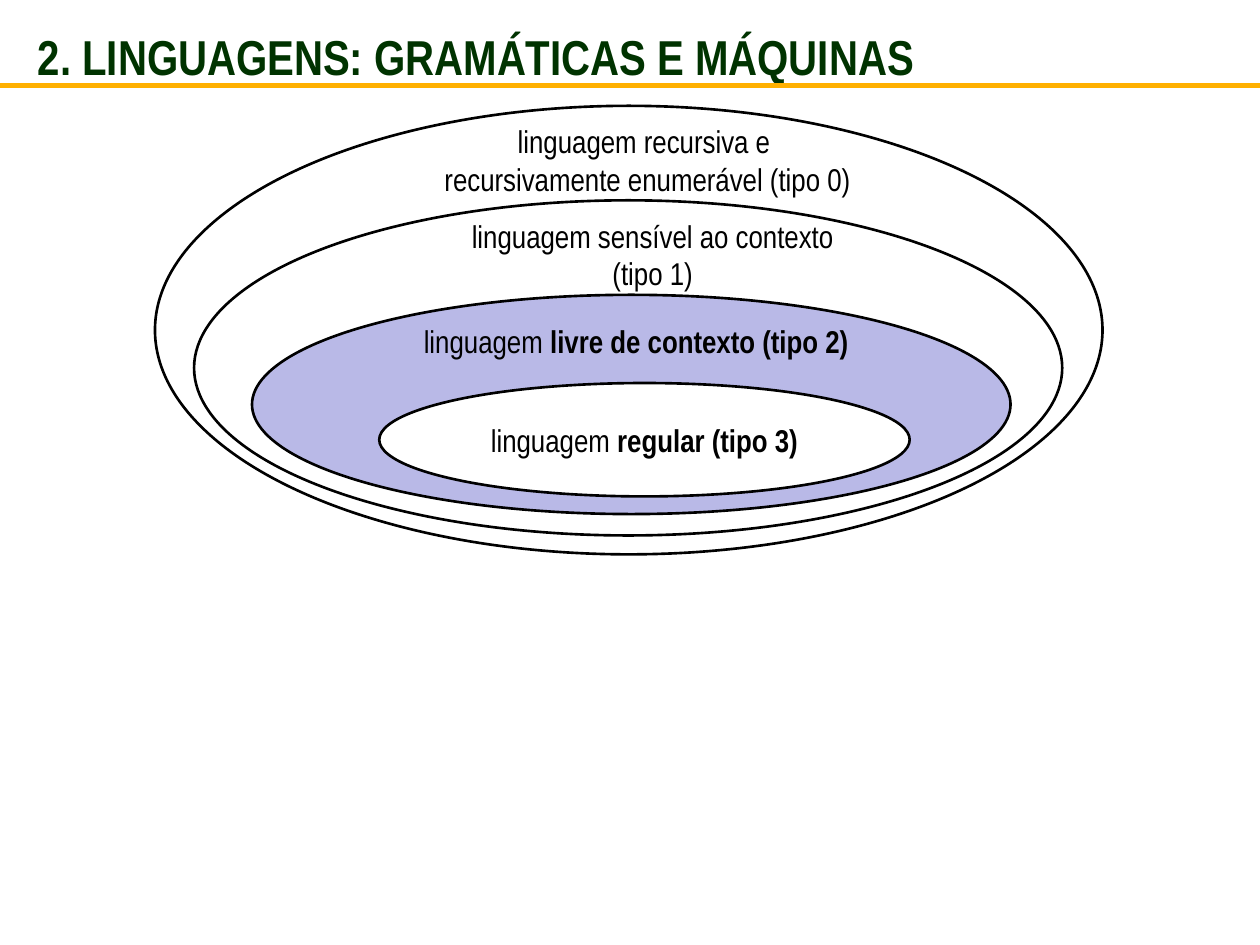
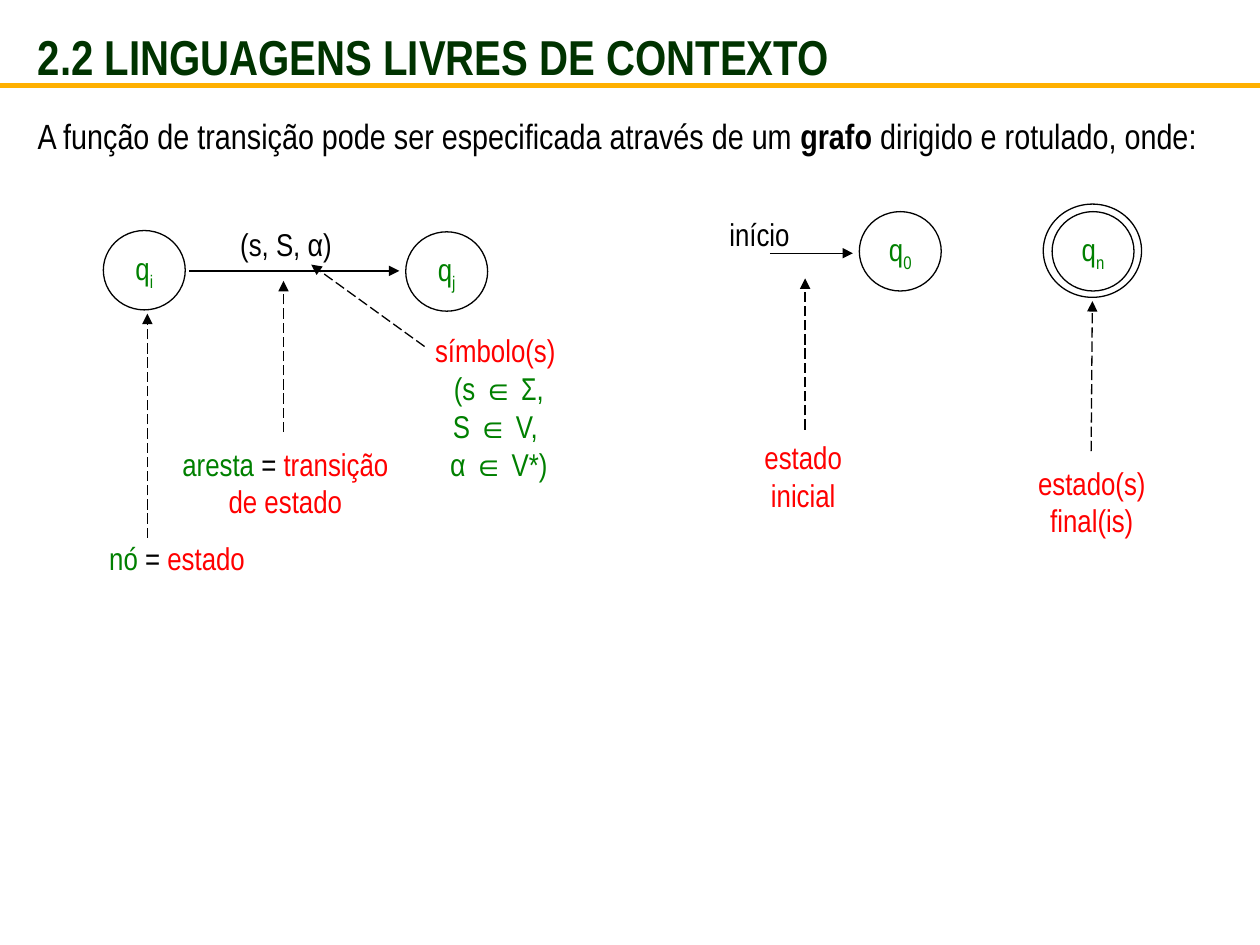
from lxml import etree
from pptx import Presentation
from pptx import util as u
from pptx.dml.color import RGBColor
from pptx.enum import dml, shapes, text
from pptx.oxml.ns import qn

COLORS = {
    "ink": "000000", "paper": "FFFFFF", "title": "003300", "rule": "FFB000",
    "lilac": "7575D1", "green": "008000", "red": "FF0000",
}
RGB = {name: RGBColor.from_string(value) for name, value in COLORS.items()}
FONT = "Arial Narrow"

prs = Presentation()
prs.slide_width, prs.slide_height = u.Inches(10), u.Inches(7.5)
CELL = prs.slide_width / 100  # the slide is 100 columns by 75 rows
MIDDLE = text.MSO_ANCHOR.MIDDLE
CENTER = text.PP_ALIGN.CENTER


def write(shape, lines, size=18, align=CENTER, anchor=text.MSO_ANCHOR.TOP):
    """Fill a shape with lines of (words, colour, style) runs; style is '', 'bold' or 'sub'."""
    frame = shape.text_frame
    frame.word_wrap = True
    frame.vertical_anchor = anchor
    for number, runs in enumerate(lines):
        paragraph = frame.add_paragraph() if number else frame.paragraphs[0]
        paragraph.alignment = align
        paragraph.font.name, paragraph.font.size = FONT, u.Pt(size)
        for words, color, style in runs:
            run = paragraph.add_run()
            run.text = words
            run.font.name, run.font.size = FONT, u.Pt(size)
            run.font.color.rgb = RGB[color]
            run.font.bold = style == "bold"
            if style == "sub":
                run.font._element.set("baseline", "-25000")


def draw(slide, place, color="ink", weight=0.75, fill=None, arrow=False, dashed=False):
    """Draw an ellipse (fill given; place is left, top, width, height) or a line (from, to)."""
    lengths = [round(cells * CELL) for cells in place]
    if fill:
        shape = slide.shapes.add_shape(shapes.MSO_SHAPE.OVAL, *lengths)
        shape.shadow.inherit = False
        shape.fill.solid()
        shape.fill.fore_color.rgb = RGB[fill]
    else:
        shape = slide.shapes.add_connector(shapes.MSO_CONNECTOR.STRAIGHT, *lengths)
    shape.line.color.rgb = RGB[color]
    shape.line.width = u.Pt(weight)
    if dashed:
        shape.line.dash_style = dml.MSO_LINE.LONG_DASH
    if arrow:
        etree.SubElement(shape.line._get_or_add_ln(), qn("a:tailEnd"), type="triangle")
    if not fill:
        etree.SubElement(shape._element.spPr, qn("a:effectLst"))
    return shape


# Both slides: title over an orange rule
slides = []
for heading in ("2. LINGUAGENS: GRAMÁTICAS E MÁQUINAS", "2.2 LINGUAGENS LIVRES DE CONTEXTO"):
    slide = prs.slides.add_slide(prs.slide_layouts[5])
    title = slide.shapes.title
    title.left, title.top, title.width, title.height = (
        round(cells * CELL) for cells in (2, 1.1, 95.9, 6.7))
    write(title, [[(heading, "title", "bold")]], 28, text.PP_ALIGN.LEFT, MIDDLE)
    title.text_frame.auto_size = text.MSO_AUTO_SIZE.NONE
    draw(slide, (0, 6.8, 100, 6.8), "rule", 3)
    slides.append(slide)
hierarchy, automaton = slides

# Slide 1: nested language classes, from the widest to the narrowest
classes = [
    ((12.3, 8.4, 75.2, 35.6), "paper"),
    ((15.4, 15.9, 68.9, 26.6), "paper"),
    ((20, 23.4, 60.2, 17.4), "lilac"),
    ((30.1, 30.4, 42.1, 9), "paper"),
]
for place, fill in classes:
    ellipse = draw(hierarchy, place, weight=1.5, fill=fill)
    if fill == "lilac":
        tint = ellipse._element.spPr.find(qn("a:solidFill"))[0]
        etree.SubElement(tint, qn("a:alpha"), val="50000")
write(ellipse, [[("linguagem ", "ink", ""), ("regular (tipo 3)", "ink", "bold")]], anchor=MIDDLE)

hierarchy_labels = [
    ((19.3, 9.2, 64.2, 5.5), [[("linguagem recursiva e ", "ink", "")],
                              [("recursivamente enumerável (tipo 0)", "ink", "")]]),
    ((19.7, 16.7, 64.2, 5.5), [[("linguagem sensível ao contexto", "ink", "")],
                               [("(tipo 1)", "ink", "")]]),
    ((24.7, 25.1, 51.6, 5.3), [[("linguagem ", "ink", ""),
                                ("livre de contexto (tipo 2)", "ink", "bold")]]),
]

# Slide 2: states of the graph, the final one with a double ring
draw(automaton, (82.8, 16.2, 7.8, 7.4), fill="paper")
for left, top, index in ((8.2, 18.3, "i"), (32.2, 18.4, "j"), (68.2, 16.8, "0"), (83.5, 16.8, "n")):
    state = draw(automaton, (left, top, 6.5, 6.3), fill="paper")
    write(state, [[("q", "green", ""), (index, "green", "sub")]], anchor=MIDDLE)
    frame = state.text_frame
    frame.margin_left = frame.margin_right = frame.margin_top = frame.margin_bottom = 0

transitions = [(15, 21.5, 31.7, 21.5), (61.1, 20.1, 67.7, 20.1)]
pointers = [
    (11.7, 42.7, 11.7, 24.9), (22.5, 34.3, 22.5, 22.3), (33.7, 27.5, 24.7, 21),
    (63.9, 34.1, 63.9, 22.1), (86.6, 35.8, 86.7, 23.9),
]
for place in transitions + pointers:
    draw(automaton, place, arrow=True, dashed=place in pointers)

automaton_labels = [
    ((16.6, 17.4, 12.2, 3.8), [[("(s, S, α)", "ink", "")]]),
    ((6.3, 42.3, 15.5, 4.8), [[("nó ", "green", ""), ("=", "ink", ""), (" estado", "red", "")]]),
    ((12.6, 34.8, 20.1, 7), [[("aresta ", "green", ""), ("=", "ink", ""),
                              (" transição de estado", "red", "")]]),
    ((27.8, 25.8, 23.6, 10.6), [[("símbolo(s) ", "red", "")], [("(s ∈ Σ,", "green", "")],
                                [("S ∈ V, ", "green", "")], [("α ∈ V*)", "green", "")]]),
    ((57.7, 34.3, 12.1, 6.7), [[("estado inicial", "red", "")]]),
    ((79.9, 36.3, 13.5, 6.7), [[("estado(s) final(is)", "red", "")]]),
]
for slide, labels in ((hierarchy, hierarchy_labels), (automaton, automaton_labels)):
    for place, lines in labels:
        write(slide.shapes.add_textbox(*(round(cells * CELL) for cells in place)), lines)

left_aligned = [
    ((56.9, 16.6, 9.4, 4.8), 18, [[("início", "ink", "")]]),
    ((2, 8.6, 95.9, 4.4), 20, [[
        ("A função de transição pode ser especificada através de um ", "ink", ""),
        ("grafo", "ink", "bold"), (" dirigido e rotulado, onde:", "ink", "")]]),
]
for place, size, lines in left_aligned:
    box = automaton.shapes.add_textbox(*(round(cells * CELL) for cells in place))
    write(box, lines, size, text.PP_ALIGN.LEFT)

prs.save("out.pptx")
